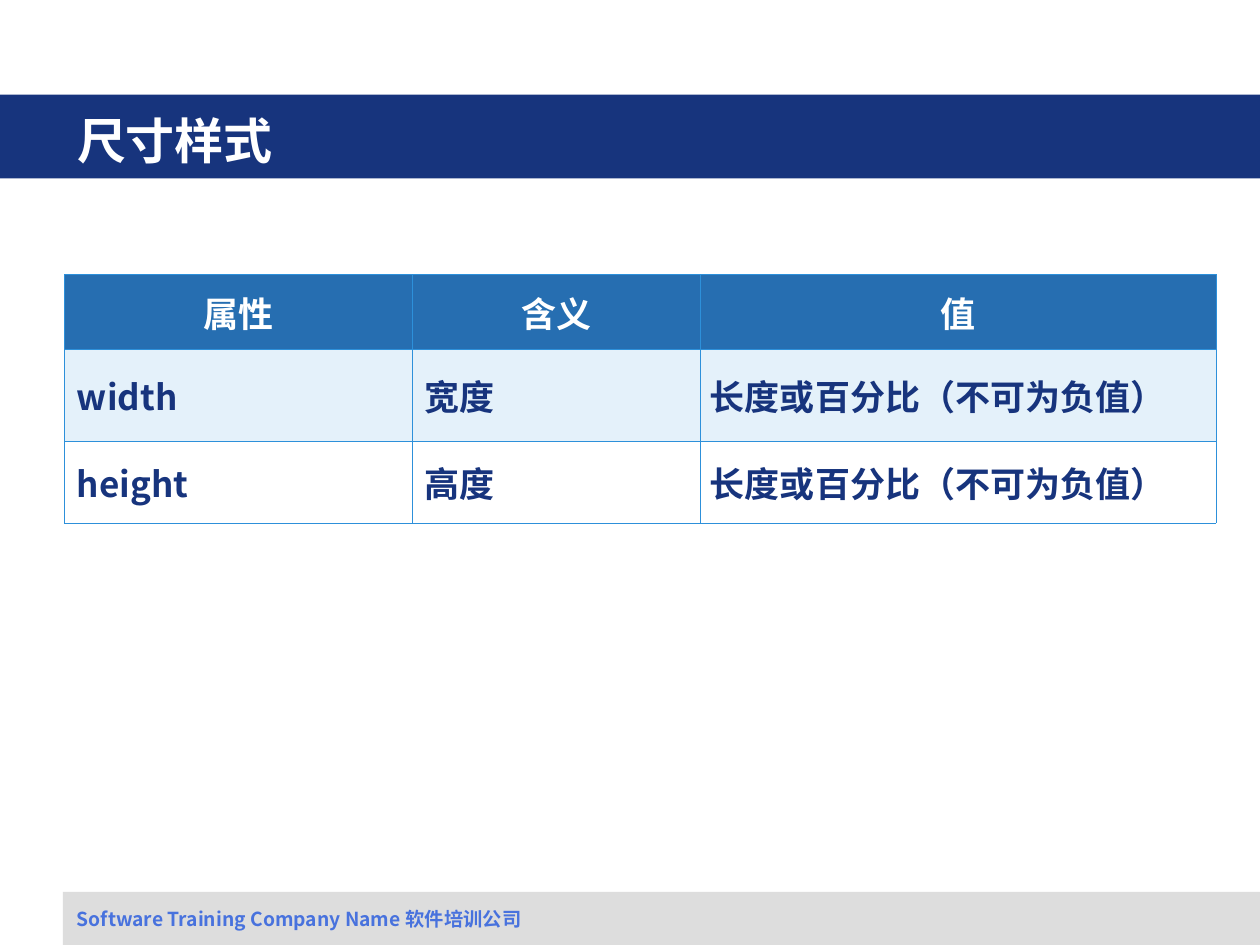
from lxml import etree
from pptx import Presentation
from pptx import util as u
from pptx.dml.color import RGBColor
from pptx.enum import shapes, text
from pptx.oxml.ns import qn

FONT = "Noto Sans CJK SC"
NAVY, WHITE = "17347D", "FFFFFF"


def rgb(value):
    return RGBColor.from_string(value)


def style(p, size, color):
    for r in p.runs:
        r.font.name = FONT
        r.font.size = u.Pt(size)
        r.font.bold = True
        r.font.color.rgb = rgb(color)
        ea = etree.SubElement(r.font._element, qn("a:ea"))
        ea.set("typeface", FONT)


prs = Presentation()
prs.slide_width, prs.slide_height = u.Cm(25.4), u.Cm(19.05)
s = prs.slides.add_slide(prs.slide_layouts[5])

# Footer strip and title band
bands = [(1.27, 17.98, 24.13, 1.07, "DDDDDD"), (0, 1.91, 25.4, 1.69, NAVY)]
for x, y, w, h, color in bands:
    sp = s.shapes.add_shape(shapes.MSO_SHAPE.RECTANGLE,
                            u.Cm(x), u.Cm(y), u.Cm(w), u.Cm(h))
    sp.shadow.inherit = False
    sp.fill.solid()
    sp.fill.fore_color.rgb = rgb(color)
    sp.line.fill.background()

# Title, brought in front of its band
title = s.shapes.title
s.shapes._spTree.append(title._element)
title.left, title.top = u.Cm(1.3), u.Cm(2.03)
title.width, title.height = u.Cm(20.37), u.Cm(1.57)
tf = title.text_frame
tf.text = "尺寸样式"
tf.auto_size = text.MSO_AUTO_SIZE.NONE
tf.vertical_anchor = text.MSO_ANCHOR.MIDDLE
tf.paragraphs[0].alignment = text.PP_ALIGN.LEFT
style(tf.paragraphs[0], 28, WHITE)

# Footer text
footer = s.shapes.add_textbox(u.Cm(1.3), u.Cm(18.16), u.Cm(23.19), u.Cm(0.74))
tf = footer.text_frame
tf.word_wrap = True
tf.text = "Software Training Company Name 软件培训公司"
style(tf.paragraphs[0], 11, "4872DD")

# Table of size properties
rows = [
    ("属性", "含义", "值"),
    ("width", "宽度", "长度或百分比（不可为负值）"),
    ("height", "高度", "长度或百分比（不可为负值）"),
]
fills = ["266EB1", "E4F1FA", WHITE]
col_widths = [7.01, 5.8, 10.4]
row_heights = [1.5, 1.85, 1.65]
table = s.shapes.add_table(3, 3, u.Cm(1.3), u.Cm(5.54),
                           u.Cm(sum(col_widths)), u.Cm(sum(row_heights))).table
for col, width in zip(table.columns, col_widths):
    col.width = u.Cm(width)
for row, height in zip(table.rows, row_heights):
    row.height = u.Cm(height)

for i, values in enumerate(rows):
    for j, value in enumerate(values):
        cell = table.cell(i, j)
        cell.text = value
        cell.vertical_anchor = text.MSO_ANCHOR.MIDDLE
        cell.margin_left = cell.margin_right = u.Cm(0.2 if i == 0 or j == 2 else 0.25)
        p = cell.text_frame.paragraphs[0]
        p.alignment = text.PP_ALIGN.CENTER if i == 0 else text.PP_ALIGN.LEFT
        style(p, 20, WHITE if i == 0 else NAVY)

        # Borders come before the fill in the cell properties
        tc_pr = cell._tc.get_or_add_tcPr()
        for side in ("lnL", "lnR", "lnT", "lnB"):
            ln = etree.SubElement(tc_pr, qn("a:" + side), w=str(u.Pt(0.45)))
            solid = etree.SubElement(ln, qn("a:solidFill"))
            etree.SubElement(solid, qn("a:srgbClr"), val="2D90DA")
        cell.fill.solid()
        cell.fill.fore_color.rgb = rgb(fills[i])

prs.save("out.pptx")
